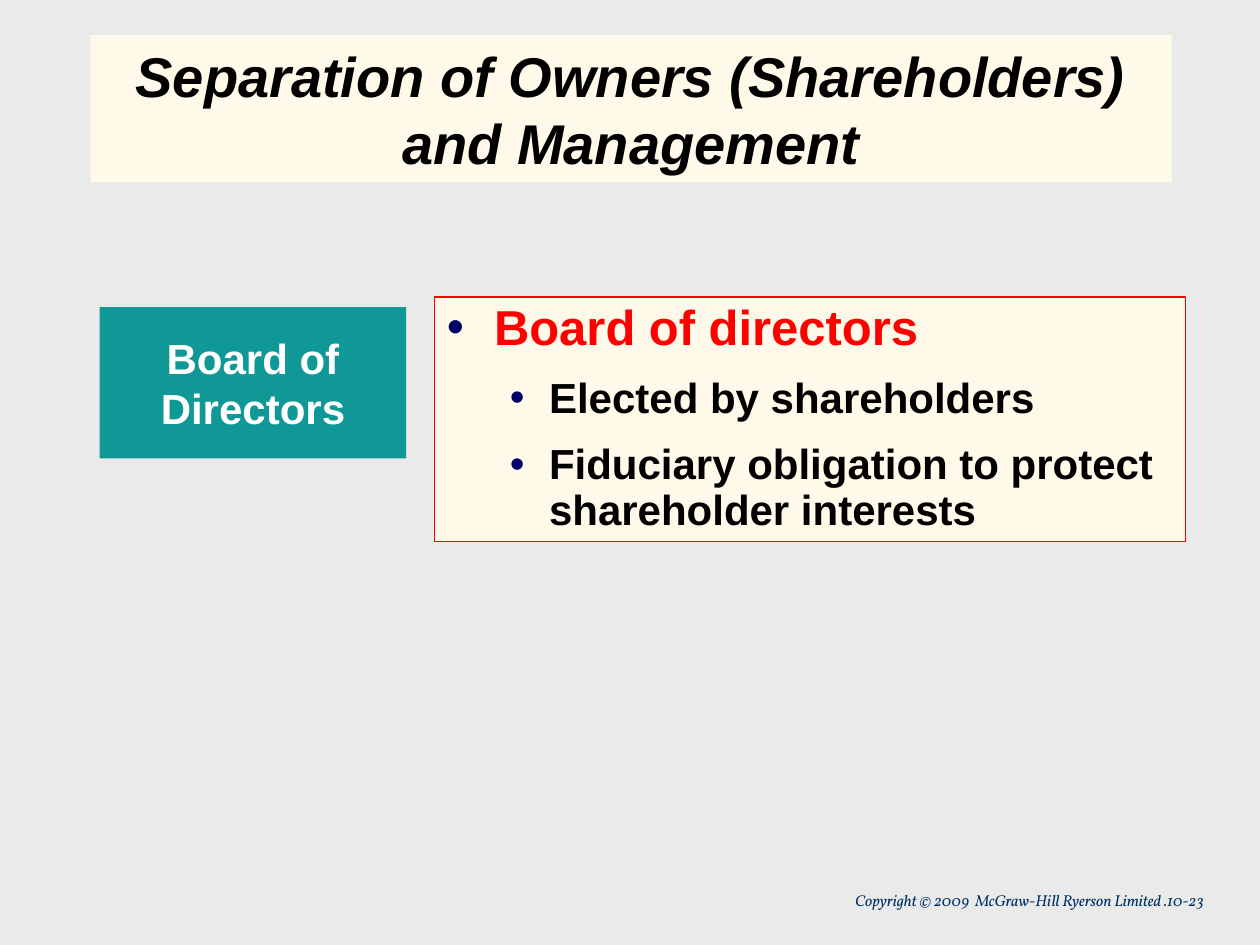
from dataclasses import dataclass

from lxml import etree
from pptx import Presentation
from pptx.dml.color import RGBColor
from pptx.enum.shapes import MSO_SHAPE
from pptx.enum.text import MSO_ANCHOR, MSO_AUTO_SIZE, PP_ALIGN
from pptx.oxml.ns import qn
from pptx.util import Cm, Pt

RECTANGLE = MSO_SHAPE.RECTANGLE
TOP, MIDDLE = MSO_ANCHOR.TOP, MSO_ANCHOR.MIDDLE
LEFT, CENTER, RIGHT = PP_ALIGN.LEFT, PP_ALIGN.CENTER, PP_ALIGN.RIGHT
NO_AUTOFIT = MSO_AUTO_SIZE.NONE


@dataclass(frozen=True)
class Theme:
    background = RGBColor.from_string("EAEAEA")
    cream = RGBColor.from_string("FFF9E9")
    teal = RGBColor.from_string("109896")
    red = RGBColor.from_string("FF0000")
    black = RGBColor.from_string("000000")
    white = RGBColor.from_string("FFFFFF")
    navy = RGBColor.from_string("003366")
    bullet = "000066"
    font = "Arial"
    footer_font = "Vollkorn"
    title_size = Pt(32)
    heading_size = Pt(28)
    body_size = Pt(24)
    footer_size = Pt(9)


theme = Theme()


def style(paragraph, size, color, align, name=theme.font, bold=True, italic=False):
    paragraph.alignment = align
    font = paragraph.font
    font.name, font.size, font.bold, font.italic = name, size, bold, italic
    font.color.rgb = color


def add_bullet(paragraph, margin, hanging):
    properties = paragraph._p.get_or_add_pPr()
    properties.set("marL", str(margin))
    properties.set("indent", str(-hanging))
    color = etree.SubElement(properties, qn("a:buClr"))
    etree.SubElement(color, qn("a:srgbClr"), val=theme.bullet)
    etree.SubElement(properties, qn("a:buFont"), typeface=theme.font)
    etree.SubElement(properties, qn("a:buChar"), char="•")


prs = Presentation()
prs.slide_width, prs.slide_height = Cm(25.4), Cm(19.05)
slide = prs.slides.add_slide(prs.slide_layouts[5])
slide.background.fill.solid()
slide.background.fill.fore_color.rgb = theme.background

# Title
title = slide.shapes.title
title.left, title.top, title.width, title.height = Cm(1.82), Cm(0.71), Cm(21.8), Cm(2.96)
title.fill.solid()
title.fill.fore_color.rgb = theme.cream
title.text_frame.text = "Separation of Owners (Shareholders) and Management"
title.text_frame.auto_size = NO_AUTOFIT
title.text_frame.vertical_anchor = TOP
style(title.text_frame.paragraphs[0], theme.title_size, theme.black, CENTER, italic=True)

# Duties of the board
duties = slide.shapes.add_shape(RECTANGLE, Cm(8.76), Cm(5.99), Cm(15.14), Cm(4.93))
duties.shadow.inherit = False
duties.fill.solid()
duties.fill.fore_color.rgb = theme.cream
duties.line.color.rgb = theme.red
duties.line.width = Pt(0.75)
duties.text_frame.word_wrap = True
duties.text_frame.vertical_anchor = TOP

heading = duties.text_frame.paragraphs[0]
heading.text = "Board of directors"
add_bullet(heading, Cm(0.95), Cm(0.95))
heading.line_spacing = 0.9
style(heading, theme.heading_size, theme.red, LEFT)

for duty in (
    "Elected by shareholders",
    "Fiduciary obligation to protect shareholder interests",
):
    item = duties.text_frame.add_paragraph()
    item.text = duty
    item.level = 1
    add_bullet(item, Cm(2.06), Cm(0.79))
    item.line_spacing = 0.9
    item.space_before = Pt(12)
    style(item, theme.body_size, theme.black, LEFT)

# Board label
board = slide.shapes.add_shape(RECTANGLE, Cm(2.01), Cm(6.19), Cm(6.18), Cm(3.05))
board.shadow.inherit = False
board.fill.solid()
board.fill.fore_color.rgb = theme.teal
board.line.fill.background()
board_text = board.text_frame
board_text.text = "Board of Directors"
board_text.word_wrap = True
board_text.vertical_anchor = MIDDLE
board_text.margin_left = board_text.margin_right = Cm(0)
board_text.margin_top = board_text.margin_bottom = Cm(0)
style(board_text.paragraphs[0], theme.body_size, theme.white, CENTER)

# Copyright line
footer = slide.shapes.add_textbox(Cm(12.88), Cm(17.83), Cm(11.63), Cm(0.64))
footer.text_frame.word_wrap = True
footer.text_frame.text = "Copyright © 2009  McGraw-Hill Ryerson Limited .10-23"
style(footer.text_frame.paragraphs[0], theme.footer_size, theme.navy, RIGHT,
      name=theme.footer_font, bold=False, italic=True)

prs.save("out.pptx")
